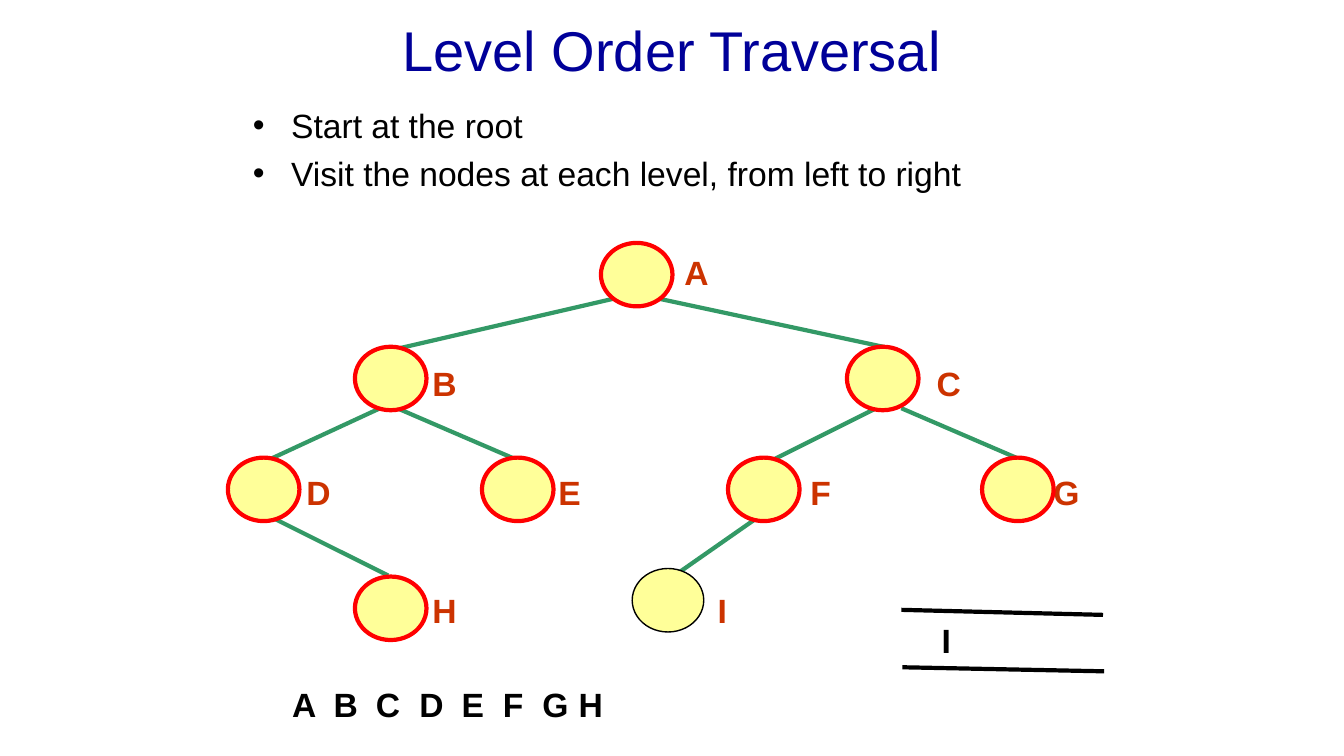
"""Build a slide that explains level order traversal of a binary tree."""
from lxml.etree import SubElement
from pptx import Presentation
from pptx.dml.color import RGBColor
from pptx.enum.shapes import MSO_CONNECTOR, MSO_SHAPE
from pptx.enum.text import MSO_ANCHOR, PP_ALIGN
from pptx.oxml.ns import qn
from pptx.util import Pt

PX = 9144
FONT = "Arial"
COLORS = {
    "title": "000099", "text": "000000", "label": "CC3300", "edge": "339966",
    "node": "FFFF99", "visited": "FF0000", "waiting": "000000", "queue": "000000",
}

TITLE = "Level Order Traversal"
BULLETS = ["Start at the root", "Visit the nodes at each level, from left to right"]
VISITED = "ABCDEFGH"
VISITED_TABS = [41, 83, 126, 168, 209, 248, 284]
QUEUE_ITEM = "I"
QUEUE_LINES = [(894, 605, 1094, 610), (895, 662, 1095, 666)]

NODE_WIDTH, NODE_HEIGHT = 71, 63
LABEL_TOPS = [245, 355, 463, 580]
# letter: (level, node left, node top, label left)
NODES = {
    "A": (0, 596, 241, 669),
    "B": (1, 352, 344, 419),
    "C": (1, 840, 344, 919),
    "D": (2, 226, 454, 294),
    "E": (2, 478, 454, 544),
    "F": (2, 722, 454, 794),
    "G": (2, 974, 454, 1035),
    "H": (3, 352, 572, 419),
    "I": (3, 627, 564, 702),
}
EDGE_HEIGHTS = [(296, 346), (405, 455), (513, 571)]
EDGE_ENDS = [
    [(610, 394), (652, 885)],
    [(377, 269), (394, 510), (869, 769), (894, 1010)],
    [(269, 385), (752, 669)],
]


def color(name):
    return RGBColor.from_string(COLORS[name])


def format_runs(paragraph, color_name, size=24, bold=False):
    for run in paragraph.runs:
        run.font.name = FONT
        run.font.size = Pt(size)
        run.font.bold = bold
        run.font.color.rgb = color(color_name)


def add_text(slide, box, text, color_name, bold=True):
    text_box = slide.shapes.add_textbox(*(value * PX for value in box))
    text_frame = text_box.text_frame
    text_frame.word_wrap = True
    text_frame.text = text
    for paragraph in text_frame.paragraphs:
        format_runs(paragraph, color_name, bold=bold)
    return text_frame


def add_line(slide, ends, color_name):
    line = slide.shapes.add_connector(
        MSO_CONNECTOR.STRAIGHT, *(value * PX for value in ends))
    line.line.color.rgb = color(color_name)
    line.line.width = Pt(3)
    SubElement(line.element.spPr, qn("a:effectLst"))


def add_node(slide, letter, left, top):
    node = slide.shapes.add_shape(
        MSO_SHAPE.OVAL, left * PX, top * PX, NODE_WIDTH * PX, NODE_HEIGHT * PX)
    visited = letter in VISITED
    node.shadow.inherit = False
    node.fill.solid()
    node.fill.fore_color.rgb = color("node")
    node.line.color.rgb = color("visited" if visited else "waiting")
    node.line.width = Pt(3 if visited else 1)


def add_title(slide):
    title = slide.shapes.title
    title.left, title.top, title.width, title.height = (
        value * PX for value in (241, 0, 850, 98))
    title.text_frame.text = TITLE
    title.text_frame.vertical_anchor = MSO_ANCHOR.MIDDLE
    paragraph = title.text_frame.paragraphs[0]
    paragraph.alignment = PP_ALIGN.CENTER
    format_runs(paragraph, "title", size=40)


def add_bullets(slide):
    text_frame = add_text(slide, (241, 99, 850, 517), "\n".join(BULLETS), "text", bold=False)
    for paragraph in text_frame.paragraphs:
        paragraph.space_before = Pt(5.5)
        properties = paragraph._p.get_or_add_pPr()
        properties.set("marL", str(38 * PX))
        properties.set("indent", str(-38 * PX))
        SubElement(properties, qn("a:buFont"), typeface=FONT)
        SubElement(properties, qn("a:buChar"), char="•")


def add_tree(slide):
    for letter, (level, _, _, label_left) in NODES.items():
        add_text(slide, (label_left, LABEL_TOPS[level], 58, 50), letter, "label")
    for (start_y, end_y), ends in zip(EDGE_HEIGHTS, EDGE_ENDS):
        for start_x, end_x in ends:
            add_line(slide, (start_x, start_y, end_x, end_y), "edge")
    for letter, (_, left, top, _) in NODES.items():
        add_node(slide, letter, left, top)


def add_visited_list(slide):
    text_frame = add_text(slide, (280, 674, 349, 50), "\t".join(VISITED), "text")
    properties = text_frame.paragraphs[0]._p.get_or_add_pPr()
    tab_list = SubElement(properties, qn("a:tabLst"))
    for position in VISITED_TABS:
        SubElement(tab_list, qn("a:tab"), pos=str(position * PX), algn="l")


def add_queue(slide):
    for ends in QUEUE_LINES:
        add_line(slide, ends, "queue")
    add_text(slide, (924, 610, 30, 51), QUEUE_ITEM, "text")


def main():
    presentation = Presentation()
    presentation.slide_width = 1333 * PX
    presentation.slide_height = 750 * PX
    slide = presentation.slides.add_slide(presentation.slide_layouts[5])
    add_title(slide)
    add_bullets(slide)
    add_tree(slide)
    add_visited_list(slide)
    add_queue(slide)
    presentation.save("out.pptx")


if __name__ == "__main__":
    main()
